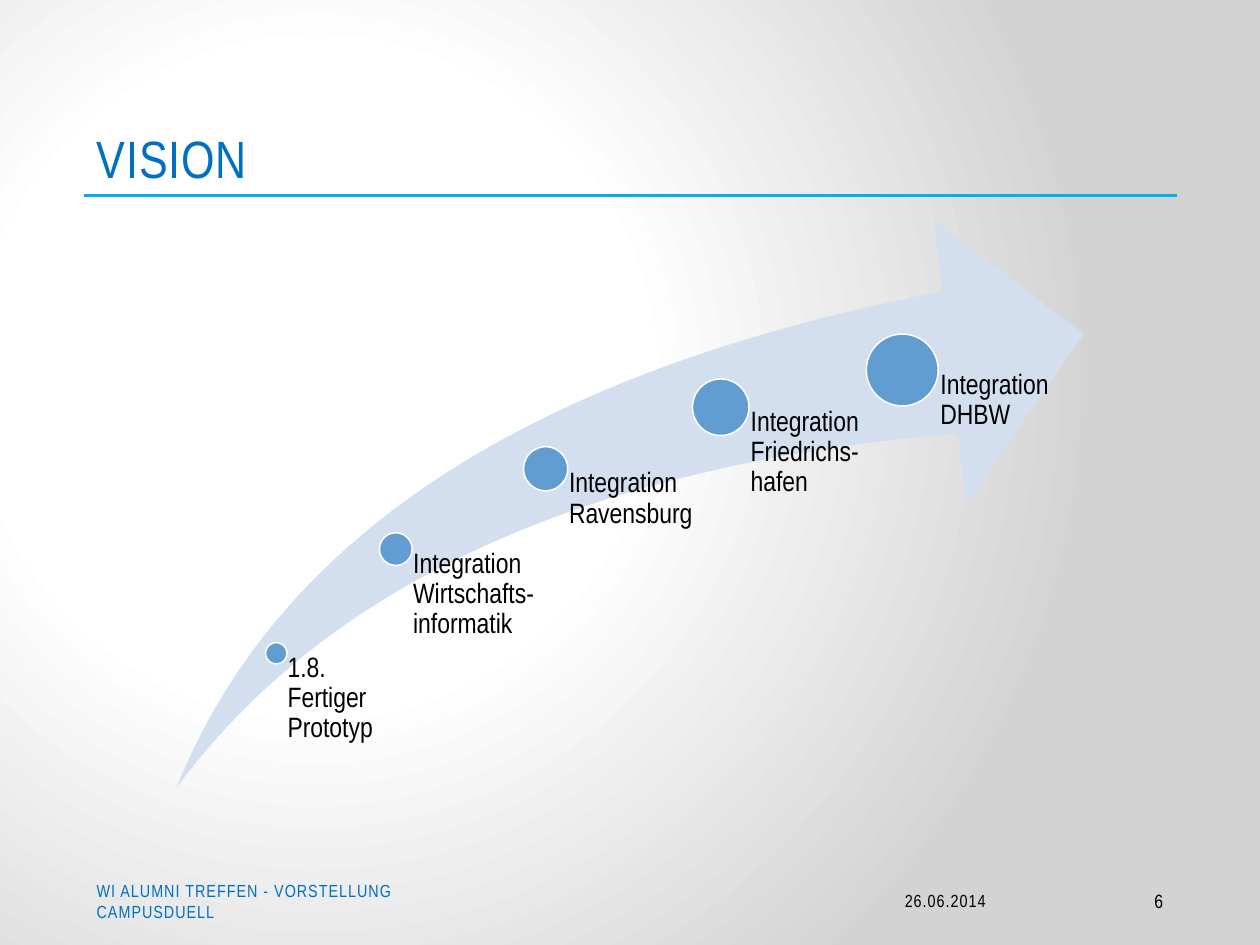
from pptx import Presentation
from pptx.dml.color import RGBColor
from pptx.enum.shapes import MSO_CONNECTOR, MSO_SHAPE
from pptx.enum.text import MSO_ANCHOR as ANCHOR, PP_ALIGN as ALIGN
from pptx.oxml import parse_xml
from pptx.oxml.ns import nsdecls
from pptx.util import Cm, Pt

FONT = "Arial Narrow"
BLACK, BLUE, CYAN = "000000", "0070C0", "00B0F0"
SWOOSH, DOT, WHITE = "D3DFEE", "629DD1", "FFFFFF"
DIAGRAM_BOTTOM = 15.88

# Milestones: label, dot centre x and y, dot diameter, label width (cm)
MILESTONES = [
    ("1.8. Fertiger Prototyp", 5.57, 13.17, 0.43, 2.39),
    ("Integration Wirtschafts-informatik", 7.98, 11.07, 0.66, 3.05),
    ("Integration Ravensburg", 11.0, 9.45, 0.89, 3.53),
    ("Integration Friedrichs-hafen", 14.53, 8.21, 1.14, 3.66),
    ("Integration DHBW", 18.19, 7.46, 1.45, 3.66),
]


def color(hex_code):
    return RGBColor.from_string(hex_code)


def set_background(slide):
    stops = "".join(
        f'<a:gs pos="{pos * 1000}"><a:srgbClr val="{c}"/></a:gs>'
        for pos, c in [(0, WHITE), (41, WHITE), (100, "D3D3D3")])
    bg = parse_xml(
        f'<p:bg {nsdecls("p", "a")}><p:bgPr><a:gradFill rotWithShape="1">'
        f'<a:gsLst>{stops}</a:gsLst><a:path path="circle">'
        '<a:fillToRect l="50000" t="80000" r="100000" b="100000"/></a:path>'
        '</a:gradFill><a:effectLst/></p:bgPr></p:bg>')
    slide.element.cSld.insert(0, bg)


def add_text(shapes, text, x, y, w, h, size, hex_code=BLACK,
             align=ALIGN.LEFT, anchor=ANCHOR.MIDDLE, spacing=0):
    s = shapes.add_textbox(Cm(x), Cm(y), Cm(w), Cm(h))
    tf = s.text_frame
    tf.word_wrap = True
    tf.vertical_anchor = anchor
    p = tf.paragraphs[0]
    p.alignment = align
    p.font.name = FONT
    p.font.size = Pt(size)
    p.font.color.rgb = color(hex_code)
    r = p.add_run()
    r.text = text
    if spacing:
        r.font._element.set("spc", str(round(spacing * 100)))
    return tf


def add_shape(shapes, kind, x, y, w, h, fill, line=None):
    s = shapes.add_shape(kind, Cm(x), Cm(y), Cm(w), Cm(h))
    s.shadow.inherit = False
    s.fill.solid()
    s.fill.fore_color.rgb = color(fill)
    if line:
        s.line.color.rgb = color(line)
        s.line.width = Pt(0.85)
    else:
        s.line.fill.background()
    return s


def add_rule(shapes, x1, x2, y):
    s = shapes.add_connector(MSO_CONNECTOR.STRAIGHT, Cm(x1), Cm(y), Cm(x2), Cm(y))
    s.line.color.rgb = color(CYAN)
    s.line.width = Pt(1.25)
    s._element.spPr.append(parse_xml(f'<a:effectLst {nsdecls("a")}/>'))


def add_milestone(shapes, label, x, y, size, width):
    add_shape(shapes, MSO_SHAPE.OVAL, x - size / 2, y - size / 2, size, size, DOT, WHITE)
    # The label starts at the dot's centre; its inset clears the dot
    tf = add_text(shapes, label, x, y, width, DIAGRAM_BOTTOM - y, 16, anchor=ANCHOR.TOP)
    tf.margin_left = Cm(size * 0.53)
    tf.margin_top = tf.margin_right = tf.margin_bottom = 0
    tf.paragraphs[0].line_spacing = 0.9


def main():
    prs = Presentation()
    prs.slide_width, prs.slide_height = Cm(25.4), Cm(19.05)
    slide = prs.slides.add_slide(prs.slide_layouts[6])
    set_background(slide)
    shapes = slide.shapes

    # Title with rule
    add_rule(shapes, 1.7, 23.72, 3.94)
    add_text(shapes, "VISION", 1.7, 0.76, 22.02, 3.18, 30, BLUE,
             anchor=ANCHOR.BOTTOM, spacing=0.5)

    # Footer
    add_text(shapes, "26.06.2014", 15.88, 17.65, 4.24, 1.02, 10,
             align=ALIGN.RIGHT, spacing=0.6)
    add_text(shapes, "WI ALUMNI TREFFEN - VORSTELLUNG CAMPUSDUELL",
             1.7, 17.65, 8.81, 1.02, 10, BLUE, spacing=0.6)
    add_text(shapes, "6", 20.96, 17.65, 2.74, 1.02, 11, align=ALIGN.RIGHT)

    # Rising arrow with milestones
    diagram = shapes.add_group_shape().shapes
    arrow = add_shape(diagram, MSO_SHAPE.SWOOSH_ARROW, 3.56, 4.45, 18.29, 11.43, SWOOSH)
    arrow.adjustments[0] = arrow.adjustments[1] = 0.25
    for milestone in MILESTONES:
        add_milestone(diagram, *milestone)

    prs.save("out.pptx")


if __name__ == "__main__":
    main()
